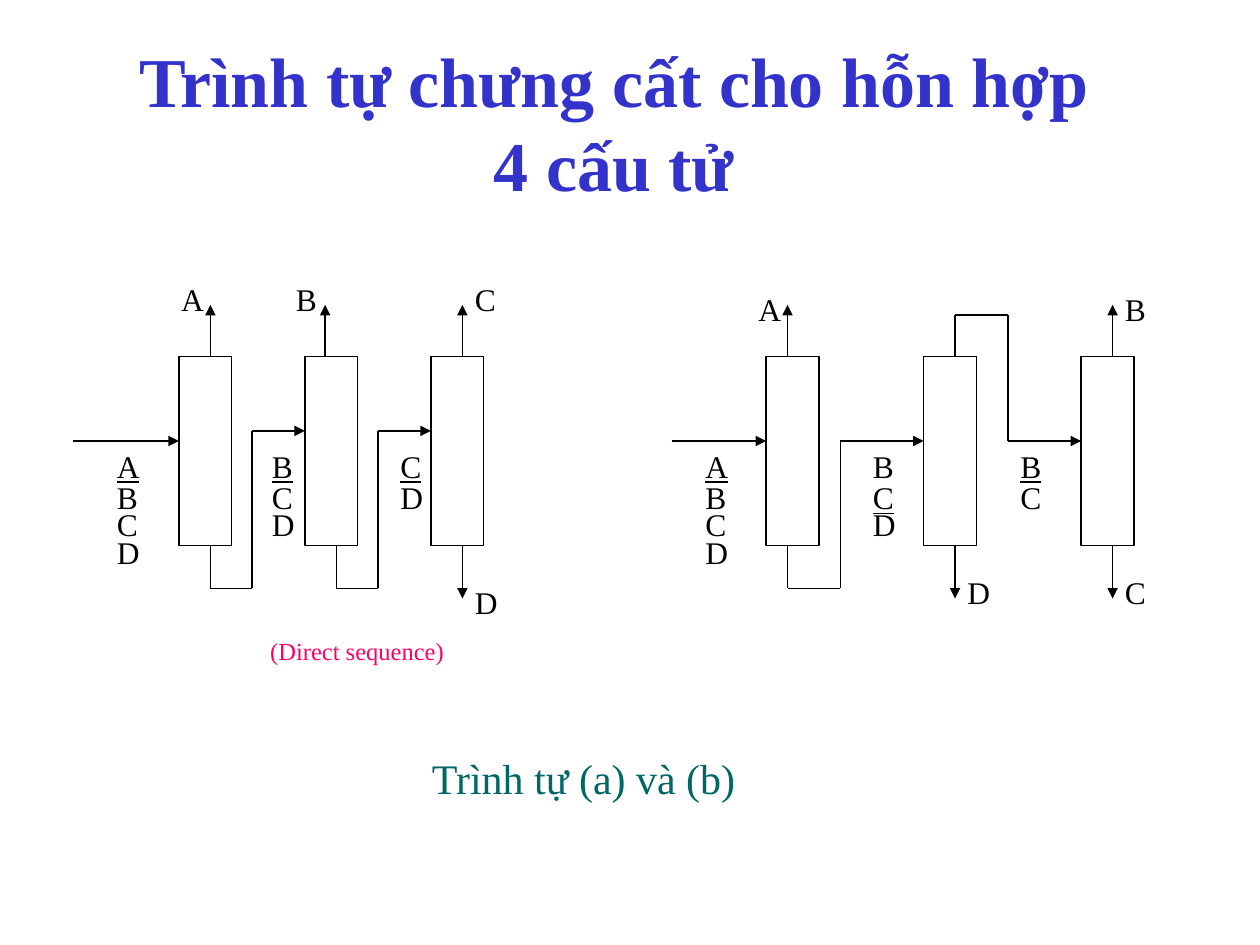
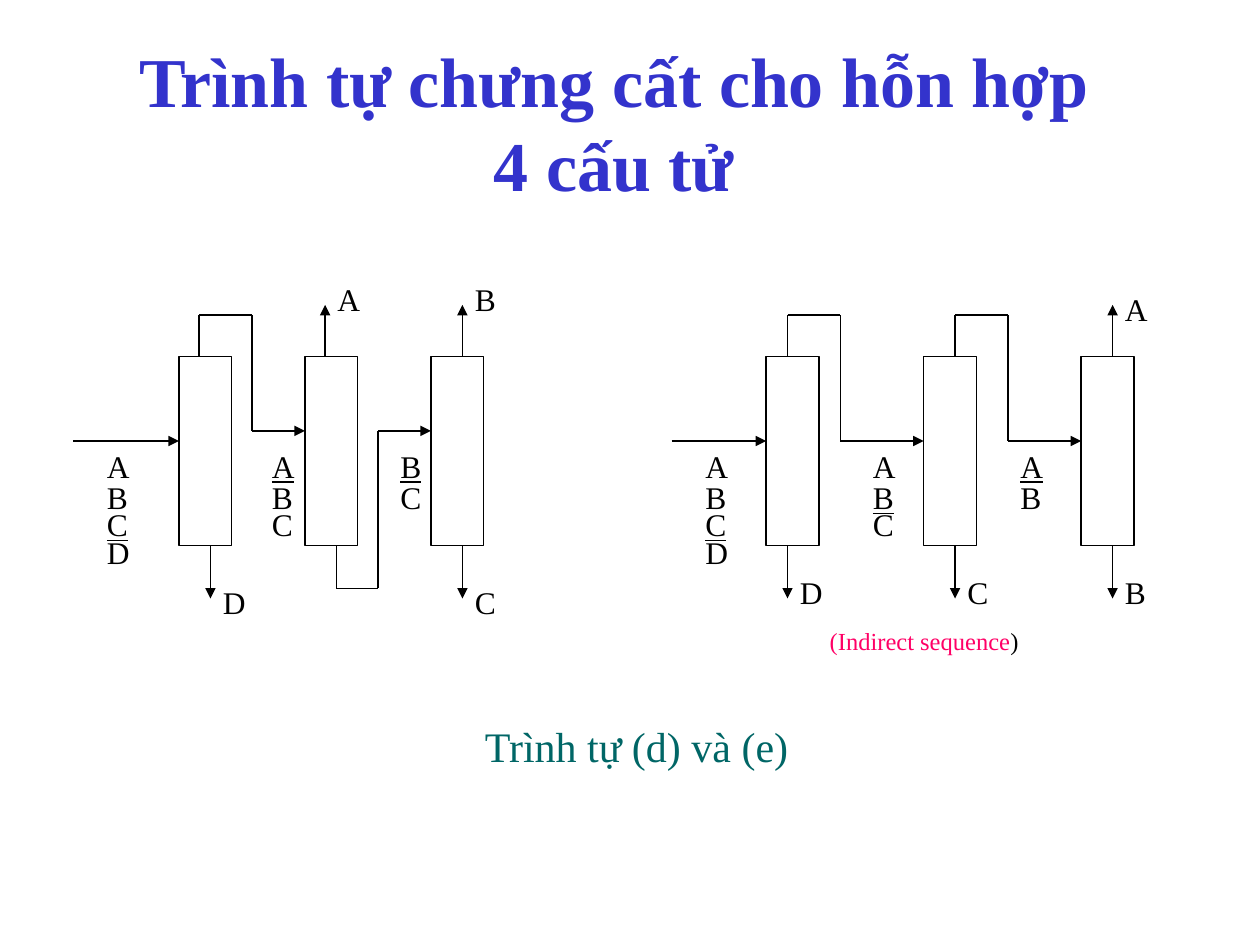
from dataclasses import dataclass, replace

from pptx import Presentation
from pptx.dml.color import RGBColor
from pptx.enum.shapes import MSO_CONNECTOR as CONNECTOR, MSO_SHAPE as SHAPE
from pptx.enum.text import PP_ALIGN as ALIGN
from pptx.oxml import parse_xml
from pptx.oxml.ns import nsdecls
from pptx.util import Inches, Pt

BLACK, WHITE, BLUE, PINK, TEAL = "000000", "FFFFFF", "3333CC", "FF0066", "006666"
FONT = "Times New Roman"
TITLE = "Trình tự chưng cất cho hỗn hợp 4 cấu tử"
TITLE_BOX = (0.83, 0.25, 8.08, 1.45)
MIXTURE = "ABCD"

DIAGRAM_TOP = 2.17
COLUMN_TOP, COLUMN_WIDTH, COLUMN_HEIGHT = 0.66, 0.42, 1.5
COLUMN_BOTTOM = COLUMN_TOP + COLUMN_HEIGHT
FEED_Y = 1.33
ARROW_UP, ARROW_DOWN = COLUMN_TOP - 0.41, COLUMN_BOTTOM + 0.42
PIPE_UP, PIPE_DOWN = COLUMN_TOP - 0.33, COLUMN_BOTTOM + 0.34


@dataclass(frozen=True)
class Layout:
    """Spacing of a three-column train; tuples hold one value per column."""
    left: float
    feed_length: float
    pitch: float
    transfer_y: float      # height at which pipes enter the next column
    overhead_x: tuple      # outlets, from the column's left side
    bottoms_x: tuple
    riser_gaps: tuple      # pipe riser to the next column
    feed_gaps: tuple       # feed list to its column
    overhead_label_y: float
    bottoms_label_y: float


COMPACT = Layout(0.58, 0.84, 1.0, 1.25, (0.25, 0.16, 0.25), (0.25, 0.25, 0.25),
                 (0.42, 0.42), (0.59, 0.36, 0.34), 0, 2.41)
COMPACT_OVERHEAD = replace(COMPACT, overhead_x=(0.16, 0.16, 0.25),
                           feed_gaps=(0.67, 0.36, 0.34))
WIDE = Layout(5.33, 0.75, 1.25, FEED_Y, (0.17, 0.25, 0.25), (0.17, 0.25, 0.25),
              (0.66, 0.58), (0.58, 0.5, 0.58), 0.08, 2.33)


def rgb(color):
    return RGBColor.from_string(color)


def add_text(slide, box, paragraphs, size=18, align=ALIGN.LEFT):
    """Each paragraph is a list of (text, colour, underline) runs."""
    frame = slide.shapes.add_textbox(*map(Inches, box)).text_frame
    frame.word_wrap = True
    for index, runs in enumerate(paragraphs):
        paragraph = frame.add_paragraph() if index else frame.paragraphs[0]
        paragraph.alignment = align
        if index:
            paragraph.line_spacing, paragraph.space_before = 0.3, Pt(size / 2)
        for text, color, underline in runs:
            run = paragraph.add_run()
            run.text = text
            style = {"name": FONT, "size": Pt(size), "underline": underline}
            for name, value in style.items():
                setattr(run.font, name, value)
            run.font.color.rgb = rgb(color)
    return frame


def add_pipe(slide, points, arrow=True):
    """Join the points with straight lines, with an arrowhead on the last."""
    segments = list(zip(points, points[1:]))
    for index, (start, end) in enumerate(segments, 1):
        line = slide.shapes.add_connector(
            CONNECTOR.STRAIGHT, *map(Inches, (*start, *end)))
        line.line.color.rgb = rgb(BLACK)
        line.line.width = Pt(0.75)
        if arrow and index == len(segments):
            line.line._get_or_add_ln().append(
                parse_xml(f'<a:tailEnd {nsdecls("a")} type="triangle"/>'))
        line._element.spPr.append(parse_xml(f'<a:effectLst {nsdecls("a")}/>'))


def add_column(slide, left, top):
    column = slide.shapes.add_shape(
        SHAPE.RECTANGLE, *map(Inches, (left, top, COLUMN_WIDTH, COLUMN_HEIGHT)))
    column.shadow.inherit = False
    column.fill.solid()
    column.fill.fore_color.rgb = rgb(WHITE)
    column.line.color.rgb = rgb(BLACK)
    column.line.width = Pt(0.75)


def add_label(slide, left, top, letter):
    add_text(slide, (left, top, 0.5, 0.4), [[(letter, BLACK, False)]])


def add_feed_list(slide, left, top, feed, cut):
    """List the components, underlining the last one that goes overhead."""
    rows = [[(letter, BLACK, index == cut)] for index, letter in enumerate(feed, 1)]
    add_text(slide, (left, top, 0.5, 0.4 + 0.24 * (len(feed) - 1)), rows)


def add_sequence(slide, layout, cuts, top=DIAGRAM_TOP):
    """Draw the columns; each cut is how many components go overhead."""
    feed, fed_from_overhead = MIXTURE, False
    first = layout.left + layout.feed_length
    add_pipe(slide, [(layout.left, top + FEED_Y), (first, top + FEED_Y)])
    for index, cut in enumerate(cuts):
        left = first + index * layout.pitch
        next_left = left + layout.pitch
        is_last = index == len(cuts) - 1
        overhead, bottoms = feed[:cut], feed[cut:]
        overhead_x = left + layout.overhead_x[index]
        bottoms_x = left + layout.bottoms_x[index]
        label_shift = 0 if is_last or fed_from_overhead else -0.33
        outlets = (
            (overhead, overhead_x, COLUMN_TOP, ARROW_UP, PIPE_UP,
             overhead_x + label_shift, layout.overhead_label_y),
            (bottoms, bottoms_x, COLUMN_BOTTOM, ARROW_DOWN, PIPE_DOWN,
             bottoms_x, layout.bottoms_label_y),
        )
        add_column(slide, left, top + COLUMN_TOP)
        add_feed_list(slide, left - layout.feed_gaps[index], top + FEED_Y, feed, cut)
        for stream, x, start, arrow_end, pipe_end, label_x, label_y in outlets:
            if len(stream) == 1:
                add_pipe(slide, [(x, top + start), (x, top + arrow_end)])
                add_label(slide, label_x, top + label_y, stream)
            else:
                riser = next_left - layout.riser_gaps[index]
                entry = top + layout.transfer_y
                add_pipe(slide, [(x, top + start), (x, top + pipe_end),
                                 (riser, top + pipe_end), (riser, entry),
                                 (next_left, entry)])
        fed_from_overhead = len(overhead) > 1
        feed = overhead if fed_from_overhead else bottoms


def add_sequence_slide(presentation, sequences, name_box, name_runs,
                       caption_box, caption):
    slide = presentation.slides.add_slide(presentation.slide_layouts[6])
    title = add_text(slide, TITLE_BOX, [[(TITLE, BLUE, False)]], 40, ALIGN.CENTER)
    title.paragraphs[0].runs[0].font.bold = True
    for layout, cuts in sequences:
        add_sequence(slide, layout, cuts)
    add_text(slide, name_box, [name_runs], 14, ALIGN.CENTER)
    add_text(slide, caption_box, [[(caption, TEAL, False)]], 24)


def main():
    presentation = Presentation()
    presentation.slide_width, presentation.slide_height = Inches(10), Inches(7.5)
    add_sequence_slide(
        presentation, [(COMPACT, (1, 1, 1)), (WIDE, (1, 2, 1))],
        (0.92, 5, 3.83, 0.33), [("(Direct sequence)", PINK, False)],
        (3.33, 5.92, 3.5, 0.5), "Trình tự (a) và (b)")
    add_sequence_slide(
        presentation, [(COMPACT_OVERHEAD, (3, 1, 1)), (WIDE, (3, 2, 1))],
        (5.42, 4.92, 3.83, 0.33),
        [("(Indirect sequence", PINK, False), (")", BLACK, False)],
        (3.75, 5.67, 3.17, 0.5), "Trình tự (d) và (e)")
    presentation.save("out.pptx")


if __name__ == "__main__":
    main()
